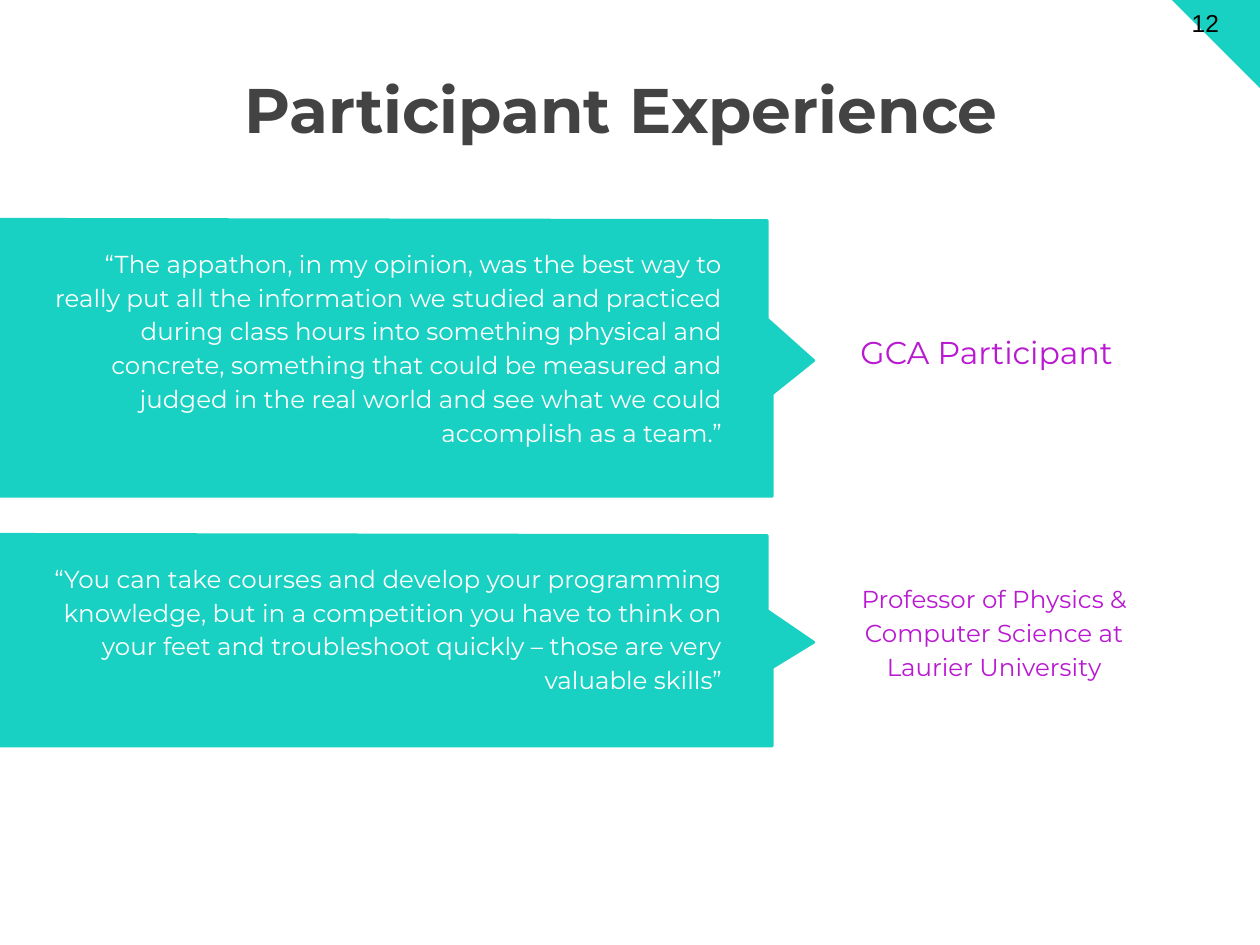
from pptx import Presentation
from pptx.dml.color import RGBColor
from pptx.enum.shapes import MSO_SHAPE
from pptx.enum.text import MSO_ANCHOR, MSO_AUTO_SIZE, PP_ALIGN
from pptx.util import Pt

TEAL = RGBColor(0x19, 0xD1, 0xC3)
PURPLE = RGBColor(0xB9, 0x19, 0xD1)
GREY = RGBColor(0x43, 0x43, 0x43)
WHITE = RGBColor(0xFF, 0xFF, 0xFF)
BLACK = RGBColor(0x00, 0x00, 0x00)

SLIDE_W, SLIDE_H = 720, 540
CORNER = 50.4


class SlideBuilder:
    font = "Montserrat"
    inset = 7.2
    line_spacing = 1.15

    def __init__(self, prs):
        self.s = prs.slides.add_slide(prs.slide_layouts[5])

    def set_text(self, sp, text, size, color, align=PP_ALIGN.LEFT,
                 anchor=MSO_ANCHOR.TOP, spacing=1.0, font=None, bold=False):
        tf = sp.text_frame
        tf.text = text
        tf.word_wrap = True
        tf.auto_size = MSO_AUTO_SIZE.NONE
        tf.vertical_anchor = anchor
        tf.margin_left = tf.margin_right = Pt(self.inset)
        tf.margin_top = tf.margin_bottom = Pt(self.inset)
        p = tf.paragraphs[0]
        p.alignment = align
        p.line_spacing = spacing
        f = p.runs[0].font
        f.name, f.size, f.bold = font or self.font, Pt(size), bold
        f.color.rgb = color

    def title(self, text, x, y, w, h):
        sp = self.s.shapes.title
        sp.left, sp.top, sp.width, sp.height = Pt(x), Pt(y), Pt(w), Pt(h)
        self.set_text(sp, text, 36, GREY, PP_ALIGN.CENTER, MSO_ANCHOR.BOTTOM,
                      bold=True)

    def text(self, text, x, y, w, h, size, color, align=PP_ALIGN.LEFT):
        sp = self.s.shapes.add_textbox(Pt(x), Pt(y), Pt(w), Pt(h))
        self.set_text(sp, text, size, color, align, spacing=self.line_spacing)

    def page_number(self, number, x, y, w, h):
        sp = self.s.shapes.add_textbox(Pt(x), Pt(y), Pt(w), Pt(h))
        self.set_text(sp, number, 14, BLACK, anchor=MSO_ANCHOR.MIDDLE,
                      font="Arial")

    def corner(self, size):
        sp = self.s.shapes.add_shape(
            MSO_SHAPE.RIGHT_TRIANGLE, Pt(SLIDE_W - size), 0, Pt(size), Pt(size))
        sp.rotation = 180
        sp.shadow.inherit = False
        sp.fill.solid()
        sp.fill.fore_color.rgb = TEAL
        sp.line.fill.background()

    def banner(self, top, height):
        """Draw a band from the left edge with a pointer on its right side."""
        bottom = top + height
        outline = [(0, top), (0, bottom), (441.4, bottom),
                   (441.4, top + 0.63 * height), (465.1, top + 0.51 * height),
                   (438.5, top + 0.36 * height)]
        fb = self.s.shapes.build_freeform(Pt(438.5), Pt(top + 0.7))
        fb.add_line_segments([(Pt(x), Pt(y)) for x, y in outline], close=True)
        sp = fb.convert_to_shape()
        sp.shadow.inherit = False
        sp.fill.solid()
        sp.fill.fore_color.rgb = TEAL
        sp.line.color.rgb = TEAL
        sp.line.width = Pt(1.5)

    def quote(self, text, top, height):
        self.banner(top, height)
        self.text(text, 23.8, top + 7.2, 396, 164.2, 14, WHITE,
                  PP_ALIGN.RIGHT)


def main():
    prs = Presentation()
    prs.slide_width, prs.slide_height = Pt(SLIDE_W), Pt(SLIDE_H)
    slide = SlideBuilder(prs)

    slide.quote("“The appathon, in my opinion, was the best way to really put "
                "all the information we studied and practiced during class "
                "hours into something physical and concrete, something that "
                "could be measured and judged in the real world and see what "
                "we could accomplish as a team.”", 125.3, 158.4)
    slide.corner(CORNER)
    slide.quote("“You can take courses and develop your programming knowledge, "
                "but in a competition you have to think on your feet and "
                "troubleshoot quickly – those are very valuable skills”",
                305.3, 121)
    slide.text("Professor of Physics & Computer Science at Laurier University",
               466.6, 324, 203, 56.2, 14, PURPLE, PP_ALIGN.CENTER)
    slide.text("GCA Participant", 484.6, 180, 229.7, 56.2, 18, PURPLE)
    slide.page_number("12", 673.9, 0.7, 46.1, 24.5)
    slide.title("Participant Experience ", 0, 0.7, SLIDE_W, 90)

    prs.save("out.pptx")


if __name__ == "__main__":
    main()
